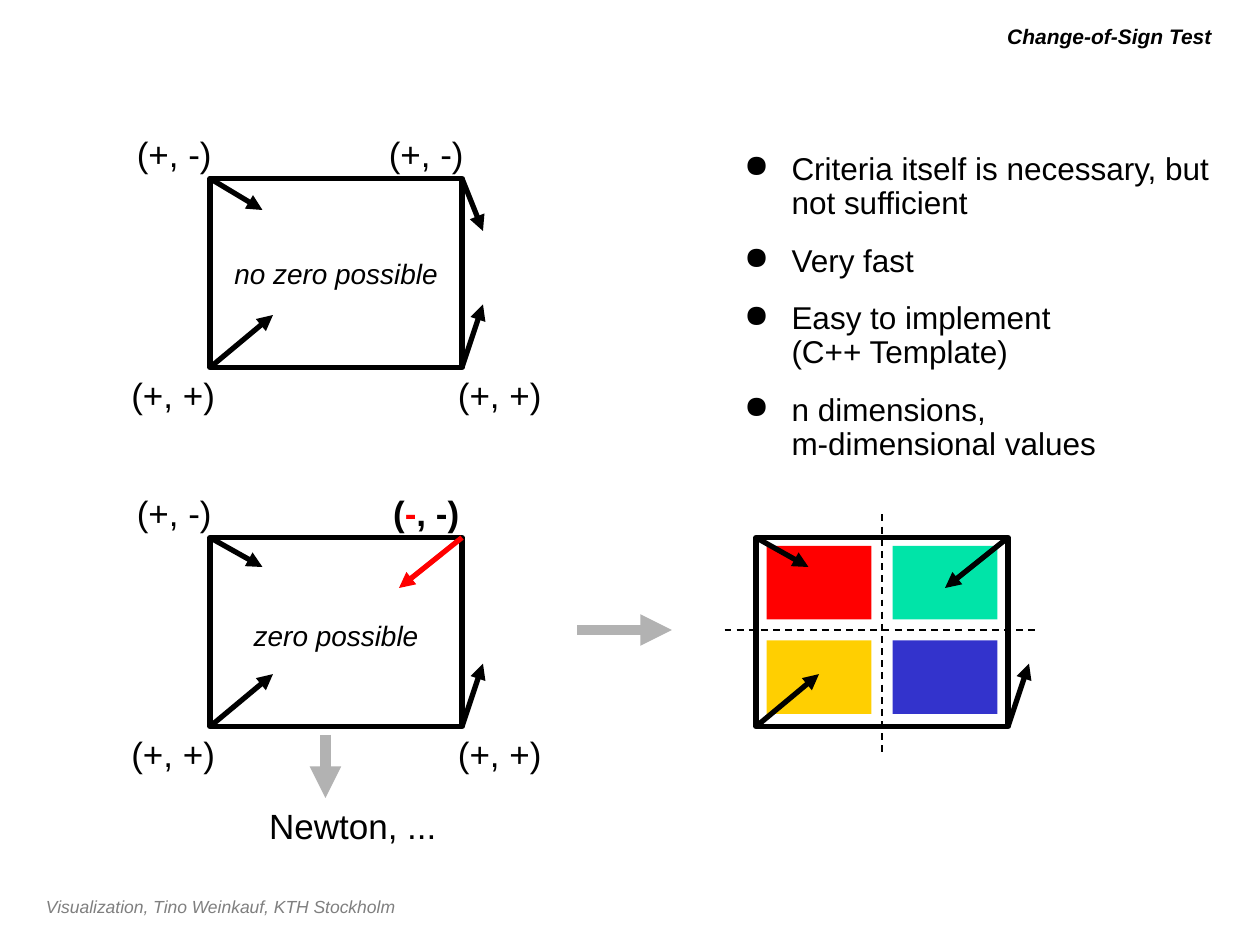
"""Build the change-of-sign test slide."""
from dataclasses import dataclass

from lxml import etree
from pptx import Presentation
from pptx import util as u
from pptx.dml.color import RGBColor
from pptx.enum import dml, shapes, text
from pptx.oxml import ns

SCALE = 7620
FONT = "Arial"
FRAME_WIDTH, FRAME_HEIGHT = 240, 180
COLORS = {
    "black": "000000", "grey": "B2B2B2", "footer": "7F7F7F", "red": "FF0000",
    "green": "00E4A8", "yellow": "FFCF01", "blue": "3333CC",
}
BULLETS = [
    "Criteria itself is necessary, but not sufficient",
    "Very fast",
    "Easy to implement\v(C++ Template)",
    "n dimensions,\vm-dimensional values",
]


@dataclass(frozen=True)
class Field:
    left: int
    top: int
    color: str


@dataclass(frozen=True)
class Line:
    start: tuple[int, int]
    end: tuple[int, int]
    color: str = "black"
    width: int = 3
    arrow: bool = True


@dataclass(frozen=True)
class Label:
    wording: str
    left: int
    top: int
    width: int
    height: int = 48
    size: int = 20
    color: str = "black"
    italic: bool = False
    align: text.PP_ALIGN = text.PP_ALIGN.CENTER


@dataclass(frozen=True)
class Frame:
    left: int
    top: int
    top_left_tip: tuple[int, int]
    top_right_tip: tuple[int, int]
    top_right_color: str = "black"


FIELDS = [
    Field(850, 520, "green"), Field(730, 610, "yellow"),
    Field(850, 610, "blue"), Field(730, 520, "red"),
]
UPPER = Frame(200, 170, (50, 30), (260, 50))
LOWER = Frame(200, 512, (50, 28), (180, 48), "red")
SPLIT = Frame(720, 512, (50, 28), (180, 48))
LINES = [
    Line((840, 490), (840, 720), width=1, arrow=False),
    Line((690, 600), (990, 600), width=1, arrow=False),
    Line((550, 600), (640, 600), "grey", 6),
    Line((310, 700), (310, 760), "grey", 6),
]
LABELS = [
    Label("Visualization, Tino Weinkauf, KTH Stockholm", 32, 847, 887, 32, 10,
          "footer", True, text.PP_ALIGN.LEFT),
    Label("Newton, ...", 160, 760, 352, 50),
    Label("no zero possible", 210, 238, 220, 44, 16, italic=True),
    Label("zero possible", 210, 583, 220, 44, 16, italic=True),
]


def px(length: int) -> u.Emu:
    return u.Emu(length * SCALE)


def rgb(color: str) -> RGBColor:
    return RGBColor.from_string(COLORS[color])


def style_font(font, size: int, color: str = "black",
               bold: bool = False, italic: bool = False) -> None:
    font.name, font.size = FONT, u.Pt(size)
    font.bold, font.italic = bold, italic
    font.color.rgb = rgb(color)


def draw_rectangle(page, left: int, top: int, width: int, height: int):
    box = page.shapes.add_shape(shapes.MSO_SHAPE.RECTANGLE,
                                px(left), px(top), px(width), px(height))
    box.shadow.inherit = False
    return box


def draw_field(page, field: Field) -> None:
    box = draw_rectangle(page, field.left, field.top, 100, 70)
    box.fill.solid()
    box.fill.fore_color.rgb = rgb(field.color)
    box.line.fill.background()


def draw_line(page, line: Line) -> None:
    connector = page.shapes.add_connector(
        shapes.MSO_CONNECTOR.STRAIGHT, *map(px, line.start + line.end))
    connector.line.color.rgb = rgb(line.color)
    connector.line.width = u.Pt(line.width)
    properties = connector.element.spPr
    if line.arrow:
        outline = properties.find(ns.qn("a:ln"))
        etree.SubElement(outline, ns.qn("a:tailEnd"), type="triangle")
    else:
        connector.line.dash_style = dml.MSO_LINE.DASH
    etree.SubElement(properties, ns.qn("a:effectLst"))


def draw_label(page, label: Label):
    box = page.shapes.add_textbox(px(label.left), px(label.top),
                                  px(label.width), px(label.height))
    box.text_frame.word_wrap = False
    para = box.text_frame.paragraphs[0]
    para.text = label.wording
    para.alignment = label.align
    style_font(para.runs[0].font, label.size, label.color, italic=label.italic)
    return box


def draw_frame(page, frame: Frame) -> None:
    box = draw_rectangle(page, frame.left, frame.top, FRAME_WIDTH, FRAME_HEIGHT)
    box.fill.background()
    box.line.color.rgb = rgb("black")
    box.line.width = u.Pt(3)
    arrows = [
        ((0, FRAME_HEIGHT), (60, 130), "black"),
        ((0, 0), frame.top_left_tip, "black"),
        ((FRAME_WIDTH, FRAME_HEIGHT), (260, 120), "black"),
        ((FRAME_WIDTH, 0), frame.top_right_tip, frame.top_right_color),
    ]
    if frame is UPPER:
        pass
    for start, end, color in arrows:
        draw_line(page, Line((frame.left + start[0], frame.top + start[1]),
                             (frame.left + end[0], frame.top + end[1]), color))


def draw_signs(page, frame: Frame, top_right: str):
    corners = [("(+, +)", -35, 180), ("(+, +)", 276, 180),
               ("(+, -)", -34, -50), (top_right, 206, -50)]
    return [draw_label(page, Label(wording, frame.left + center - 55,
                                   frame.top + top, 110))
            for wording, center, top in corners]


def highlight_sign(box) -> None:
    para = box.text_frame.paragraphs[0]
    para.text = ""
    for wording, color in [("(", "black"), ("-", "red"), (", -)", "black")]:
        span = para.add_run()
        span.text = wording
        style_font(span.font, 20, color, bold=True)


def draw_bullets(page) -> None:
    box = page.shapes.add_textbox(px(697), px(140), px(503), px(340))
    box.text_frame.word_wrap = True
    box.text_frame.text = "\n".join(BULLETS)
    for index, para in enumerate(box.text_frame.paragraphs):
        para.line_spacing = 0.9
        para.space_before = u.Pt(13.5 if index else 0)
        properties = para._p.get_or_add_pPr()
        properties.set("marL", str(px(45)))
        properties.set("indent", str(px(-45)))
        etree.SubElement(properties, ns.qn("a:buChar"), char="●")
        style_font(para.font, 18)
        for span in para.runs:
            style_font(span.font, 18)


def draw_title(page) -> None:
    title = page.shapes.title
    title.left, title.top, title.width, title.height = map(px, (850, 16, 316, 37))
    title.text_frame.text = "Change-of-Sign Test"
    title.text_frame.auto_size = text.MSO_AUTO_SIZE.NONE
    title.text_frame.vertical_anchor = text.MSO_ANCHOR.MIDDLE
    para = title.text_frame.paragraphs[0]
    para.alignment = text.PP_ALIGN.RIGHT
    style_font(para.runs[0].font, 12, bold=True, italic=True)


def main() -> None:
    deck = Presentation()
    deck.slide_width, deck.slide_height = px(1200), px(900)
    page = deck.slides.add_slide(deck.slide_layouts[5])
    draw_title(page)
    for field in FIELDS:
        draw_field(page, field)
    draw_bullets(page)
    for frame in (UPPER, LOWER, SPLIT):
        draw_frame(page, frame)
    draw_signs(page, UPPER, "(+, -)")
    highlight_sign(draw_signs(page, LOWER, "(-, -)")[-1])
    for line in LINES:
        draw_line(page, line)
    for label in LABELS:
        draw_label(page, label)
    deck.save("out.pptx")


if __name__ == "__main__":
    main()
